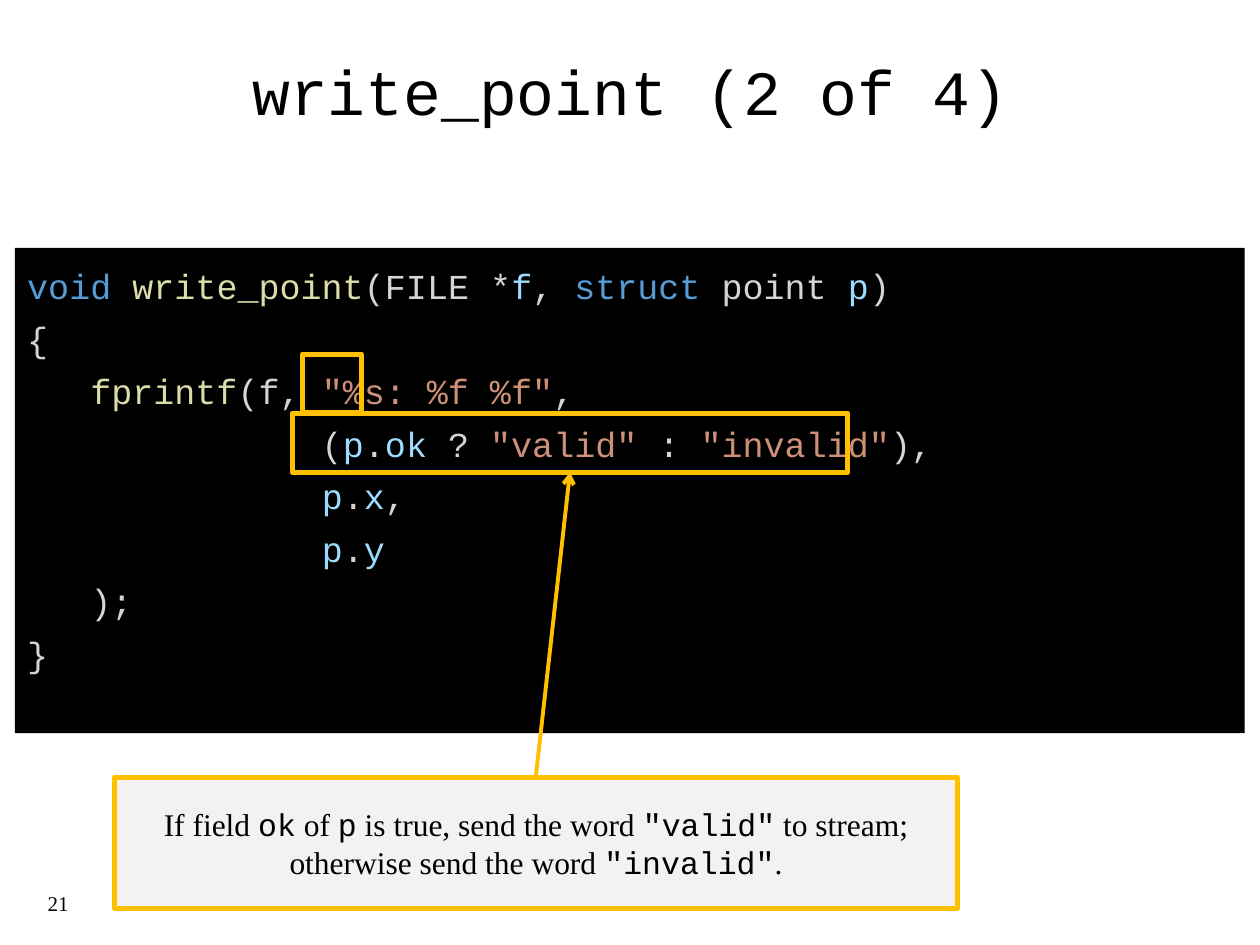
import pptx
import pptx.util
import pptx.dml.color
import pptx.enum.shapes
import pptx.enum.text
import pptx.oxml
import pptx.oxml.ns
from pptx.util import Cm

MONO, SERIF = "Courier New", "Times New Roman"
BLACK, GOLD = "000000", "FFC000"
KEYWORD, FUNC, PLAIN, VAR, STRING = "569CD6", "DCDCAA", "D4D4D4", "9CDCFE", "CE9178"


def color(value):
    return pptx.dml.color.RGBColor.from_string(value)


def add_run(p, text, font, size, hex_color):
    r = p.add_run()
    r.text = text
    r.font.name = font
    r.font.size = pptx.util.Pt(size)
    r.font.color.rgb = color(hex_color)


prs = pptx.Presentation()
prs.slide_width, prs.slide_height = Cm(25.4), Cm(19.05)
s = prs.slides.add_slide(prs.slide_layouts[6])
middle = pptx.enum.text.MSO_ANCHOR.MIDDLE
center = pptx.enum.text.PP_ALIGN.CENTER
left = pptx.enum.text.PP_ALIGN.LEFT

# Title and slide number
for text, box, font, size, align in [
    ("write_point (2 of 4)", (0.71, 0.15, 24, 3.35), MONO, 36, center),
    ("21", (0.71, 17.7, 18.59, 1.02), SERIF, 12, left),
]:
    tf = s.shapes.add_textbox(*map(Cm, box)).text_frame
    tf.word_wrap = True
    tf.vertical_anchor = middle
    p = tf.paragraphs[0]
    p.alignment = align
    add_run(p, text, font, size, BLACK)

# Code panel, argument frame, explanation box, format specifier frame
panels = []
for box, fill, line in [
    ((0.3, 5, 24.79, 9.78), BLACK, None),
    ((5.89, 8.33, 11.2, 1.19), None, GOLD),
    ((2.31, 15.67, 16.99, 2.64), "F2F2F2", GOLD),
    ((6.1, 7.14, 1.19, 1.19), None, GOLD),
]:
    sp = s.shapes.add_shape(pptx.enum.shapes.MSO_SHAPE.RECTANGLE, *map(Cm, box))
    sp.shadow.inherit = False
    if fill:
        sp.fill.solid()
        sp.fill.fore_color.rgb = color(fill)
    else:
        sp.fill.background()
    if line:
        sp.line.color.rgb = color(line)
        sp.line.width = pptx.util.Pt(3)
    else:
        sp.line.fill.background()
    panels.append(sp)
code_panel, _, note, _ = panels

# Code, one list of runs per line
indent = " " * 14
code = [
    [("void ", KEYWORD), ("write_point", FUNC), ("(FILE *", PLAIN), ("f", VAR), (", ", PLAIN),
     ("struct", KEYWORD), (" point ", PLAIN), ("p", VAR), (")", PLAIN)],
    [("{", PLAIN)],
    [("   fprintf", FUNC), ("(f, ", PLAIN), ('"%s: %f %f"', STRING), (",", PLAIN)],
    [(indent + "(", PLAIN), ("p", VAR), (".", PLAIN), ("ok", VAR), (" ? ", PLAIN),
     ('"valid"', STRING), (" : ", PLAIN), ('"invalid"', STRING), ("),", PLAIN)],
    [(indent, PLAIN), ("p", VAR), (".", PLAIN), ("x", VAR), (",", PLAIN)],
    [(indent, PLAIN), ("p", VAR), (".", PLAIN), ("y", VAR)],
    [("   );", PLAIN)],
    [("}", PLAIN)],
]
tf = code_panel.text_frame
tf.word_wrap = True
tf.vertical_anchor = pptx.enum.text.MSO_ANCHOR.TOP
for i, line in enumerate(code):
    p = tf.add_paragraph() if i else tf.paragraphs[0]
    p.alignment = left
    p.line_spacing = 1.25
    for text, hex_color in line:
        add_run(p, text, MONO, 20, hex_color)

# Explanation, alternating prose and code words
tf = note.text_frame
tf.word_wrap = True
tf.vertical_anchor = middle
p = tf.paragraphs[0]
p.alignment = center
words = ["If field ", "ok", " of ", "p", " is true, send the word ", '"valid"',
         " to stream; otherwise send the word ", '"invalid"', "."]
for i, text in enumerate(words):
    add_run(p, text, MONO if i % 2 else SERIF, 18, BLACK)

# Arrow from the explanation to the argument
arrow = s.shapes.add_connector(
    pptx.enum.shapes.MSO_CONNECTOR.STRAIGHT, Cm(10.8), Cm(15.67), Cm(11.49), Cm(9.52))
arrow.line.color.rgb = color(GOLD)
arrow.line.width = pptx.util.Pt(2.25)
ns = pptx.oxml.ns.nsdecls("a")
arrow.line._get_or_add_ln().append(pptx.oxml.parse_xml(f'<a:tailEnd {ns} type="arrow"/>'))
arrow._element.spPr.append(pptx.oxml.parse_xml(f"<a:effectLst {ns}/>"))

prs.save("out.pptx")
